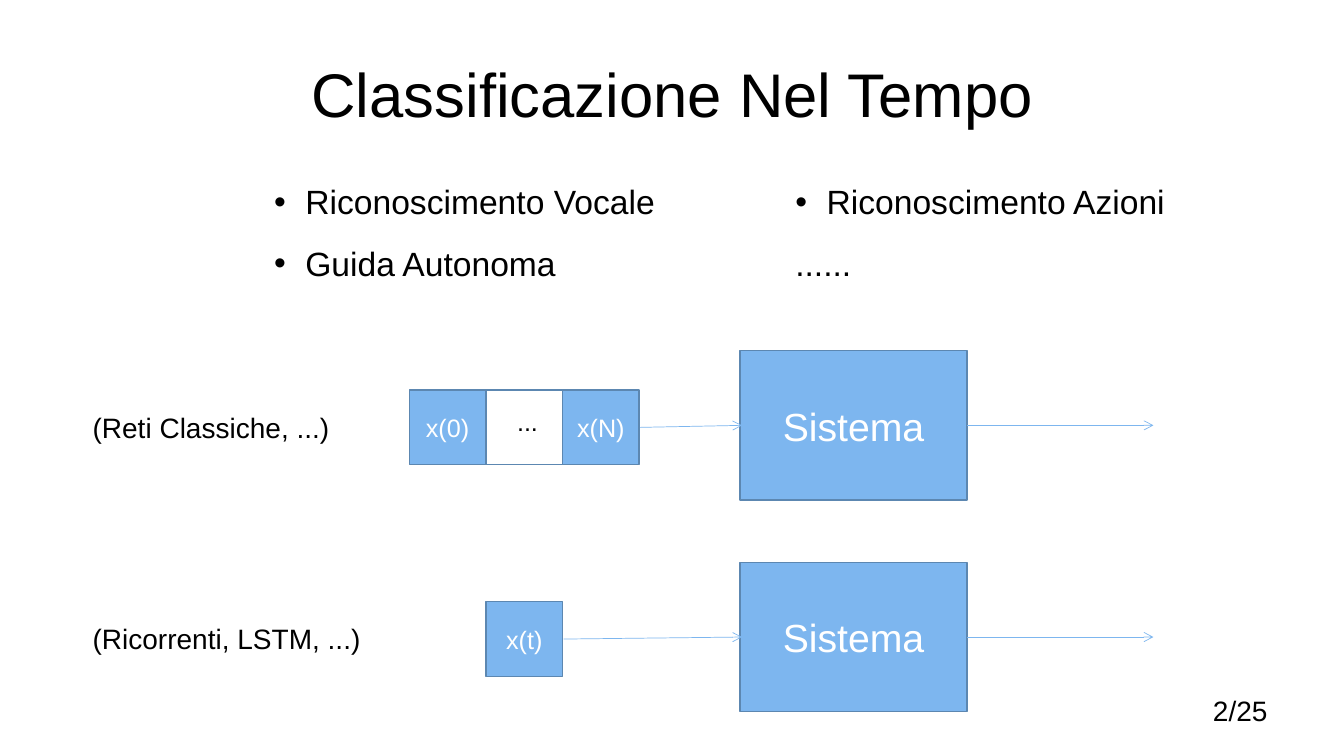
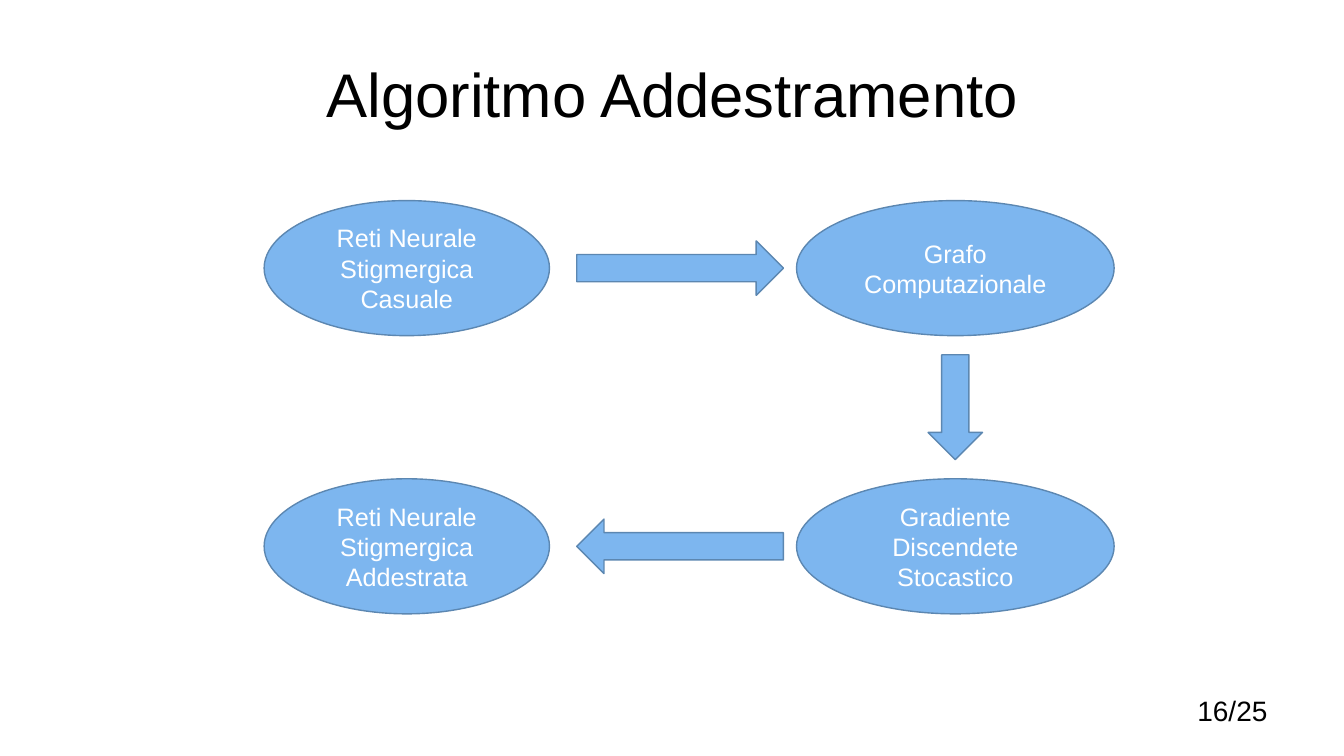
from collections import namedtuple

from lxml.etree import SubElement
from pptx import Presentation
from pptx.dml.color import RGBColor
from pptx.enum.shapes import MSO_CONNECTOR, MSO_SHAPE
from pptx.enum.text import MSO_ANCHOR, PP_ALIGN
from pptx.oxml.ns import qn
from pptx.util import Inches, Pt

SLIDE_WIDTH, SLIDE_HEIGHT = 13.33, 7.5
TITLE_ONLY = 5
FONT = "Arial"
BLACK = RGBColor(0x00, 0x00, 0x00)
WHITE = RGBColor(0xFF, 0xFF, 0xFF)
SKY = RGBColor(0x7D, 0xB6, 0xEF)
STEEL = RGBColor(0x5C, 0x87, 0xB1)

TITLE_SIZE, BLOCK_SIZE, BULLET_SIZE, LABEL_SIZE, SHAPE_SIZE = 44, 28, 24, 20, 18
BULLET_INDENT = 0.31
CELL_WIDTH, CELL_HEIGHT = 0.76, 0.74


class Box(namedtuple("Box", "left top width height")):
    """A rectangle in inches."""

    @property
    def right(self):
        return self.left + self.width

    @property
    def bottom(self):
        return self.top + self.height

    @property
    def center(self):
        return self.left + self.width / 2

    @property
    def middle(self):
        return self.top + self.height / 2

    def lengths(self):
        return [Inches(value) for value in self]


TITLE_BOX = Box(0.67, 0.3, 12, 1.25)
NUMBER_BOX = Box(9.56, 6.83, 3.11, 0.52)


def write(shape, lines, size, color, align, anchor):
    frame = shape.text_frame
    frame.word_wrap = True
    frame.vertical_anchor = anchor
    for index, line in enumerate(lines):
        paragraph = frame.add_paragraph() if index else frame.paragraphs[0]
        paragraph.alignment = align
        run = paragraph.add_run()
        run.text = line
        run.font.name = FONT
        run.font.size = Pt(size)
        run.font.color.rgb = color


def add_text(slide, box, text, size, align=PP_ALIGN.LEFT):
    shape = slide.shapes.add_textbox(*box.lengths())
    write(shape, [text], size, BLACK, align, MSO_ANCHOR.TOP)
    return shape


def add_bullet(slide, box, text):
    shape = add_text(slide, box, text, BULLET_SIZE)
    properties = shape.text_frame.paragraphs[0]._p.get_or_add_pPr()
    properties.set("marL", str(Inches(BULLET_INDENT)))
    properties.set("indent", str(-Inches(BULLET_INDENT)))
    SubElement(properties, qn("a:buFont"), typeface=FONT)
    SubElement(properties, qn("a:buChar"), char="•")


def add_block(slide, kind, box, lines=(), size=SHAPE_SIZE, filled=True):
    shape = slide.shapes.add_shape(kind, *box.lengths())
    shape.shadow.inherit = False
    if filled:
        shape.fill.solid()
        shape.fill.fore_color.rgb = SKY
    else:
        shape.fill.background()
    shape.line.color.rgb = STEEL
    shape.line.width = Pt(1)
    write(shape, lines, size, WHITE, PP_ALIGN.CENTER, MSO_ANCHOR.MIDDLE)


def add_arrow_line(slide, start, end):
    points = [Inches(value) for value in (*start, *end)]
    connector = slide.shapes.add_connector(MSO_CONNECTOR.STRAIGHT, *points)
    connector.line.color.rgb = SKY
    connector.line.width = Pt(0.5)
    SubElement(connector.line._get_or_add_ln(), qn("a:tailEnd"), type="arrow")
    SubElement(connector._element.spPr, qn("a:effectLst"))


def add_titled_slide(presentation, title, number):
    slide = presentation.slides.add_slide(presentation.slide_layouts[TITLE_ONLY])
    placeholder = slide.shapes.title
    (placeholder.left, placeholder.top,
     placeholder.width, placeholder.height) = TITLE_BOX.lengths()
    write(placeholder, [title], TITLE_SIZE, BLACK, PP_ALIGN.CENTER, MSO_ANCHOR.MIDDLE)
    add_text(slide, NUMBER_BOX, f"{number}/25", LABEL_SIZE, PP_ALIGN.RIGHT)
    return slide


def add_applications(slide, box):
    """Lay out the application examples in two columns."""
    columns = (("Riconoscimento Vocale", "Guida Autonoma"),
               ("Riconoscimento Azioni", "......"))
    column_pitch, row_pitch = 5.17, 0.61
    for column, texts in enumerate(columns):
        for row, text in enumerate(texts):
            cell = Box(box.left + column * column_pitch, box.top + row * row_pitch,
                       box.width - column_pitch, box.height - row_pitch)
            if text == "......":
                add_text(slide, cell, text, BULLET_SIZE)
            else:
                add_bullet(slide, cell, text)


def add_pipeline(slide, box, label, inputs):
    """Draw label, input cells by column, system block and arrows in one row."""
    middle = box.middle + 0.02
    add_text(slide, Box(box.left, middle - 0.22, 2.94, 0.44), label, LABEL_SIZE)

    cells_left = box.left + 3.24
    for column, text in inputs.items():
        cell = Box(cells_left + column * CELL_WIDTH, middle - CELL_HEIGHT / 2,
                   CELL_WIDTH, CELL_HEIGHT)
        if text == "...":
            add_block(slide, MSO_SHAPE.RECTANGLE, cell, filled=False)
            dots = Box(cell.left + 0.21, cell.top + 0.11, 0.47, 0.4)
            add_text(slide, dots, text, SHAPE_SIZE)
        else:
            add_block(slide, MSO_SHAPE.RECTANGLE, cell, [text])
    inputs_right = cells_left + (max(inputs) + 1) * CELL_WIDTH

    system = Box(box.left + 6.52, box.top, 2.25, box.height)
    add_block(slide, MSO_SHAPE.RECTANGLE, system, ["Sistema"], BLOCK_SIZE)
    add_arrow_line(slide, (inputs_right + 0.01, middle),
                   (system.left + 0.02, system.middle))
    add_arrow_line(slide, (system.right, system.middle), (box.right, system.middle))


def add_training_cycle(slide, box):
    """Draw four steps in the corners of the box, joined by block arrows."""
    step_height, thickness, side_gap, end_gap = 1.34, 0.54, 0.27, 0.19
    left_width, right_width = 2.83, 3.15
    lower_top = box.bottom - step_height
    right_left = box.right - right_width
    start = Box(box.left, box.top, left_width, step_height)
    graph = Box(right_left, box.top, right_width, step_height)
    gradient = Box(right_left, lower_top, right_width, step_height)
    trained = Box(box.left, lower_top, left_width, step_height)

    steps = ((start, ["Reti Neurale Stigmergica", "Casuale"]),
             (graph, ["Grafo Computazionale"]),
             (gradient, ["Gradiente Discendete Stocastico"]),
             (trained, ["Reti Neurale Stigmergica", "Addestrata"]))
    for step, lines in steps:
        add_block(slide, MSO_SHAPE.OVAL, step, lines)

    for kind, step in ((MSO_SHAPE.RIGHT_ARROW, start), (MSO_SHAPE.LEFT_ARROW, trained)):
        add_block(slide, kind, Box(step.right + side_gap, step.middle - thickness / 2,
                                   2.05, thickness))
    down = Box(graph.center - thickness / 2, graph.bottom + end_gap, thickness,
               gradient.top - graph.bottom - 2 * end_gap)
    add_block(slide, MSO_SHAPE.DOWN_ARROW, down)


def build_time_slide(presentation):
    slide = add_titled_slide(presentation, "Classificazione Nel Tempo", 2)
    add_applications(slide, Box(2.62, 1.75, 9.56, 1.11))
    rows = (("(Reti Classiche, ...)", {1: "...", 0: "x(0)", 2: "x(N)"}),
            ("(Ricorrenti, LSTM, ...)", {1: "x(t)"}))
    for row, (label, inputs) in enumerate(rows):
        add_pipeline(slide, Box(0.82, 3.48 + row * 2.1, 10.62, 1.48), label, inputs)


def build_training_slide(presentation):
    slide = add_titled_slide(presentation, "Algoritmo Addestramento", 16)
    add_training_cycle(slide, Box(2.62, 1.99, 8.43, 4.1))


def main():
    presentation = Presentation()
    presentation.slide_width = Inches(SLIDE_WIDTH)
    presentation.slide_height = Inches(SLIDE_HEIGHT)
    build_time_slide(presentation)
    build_training_slide(presentation)
    presentation.save("out.pptx")


if __name__ == "__main__":
    main()
